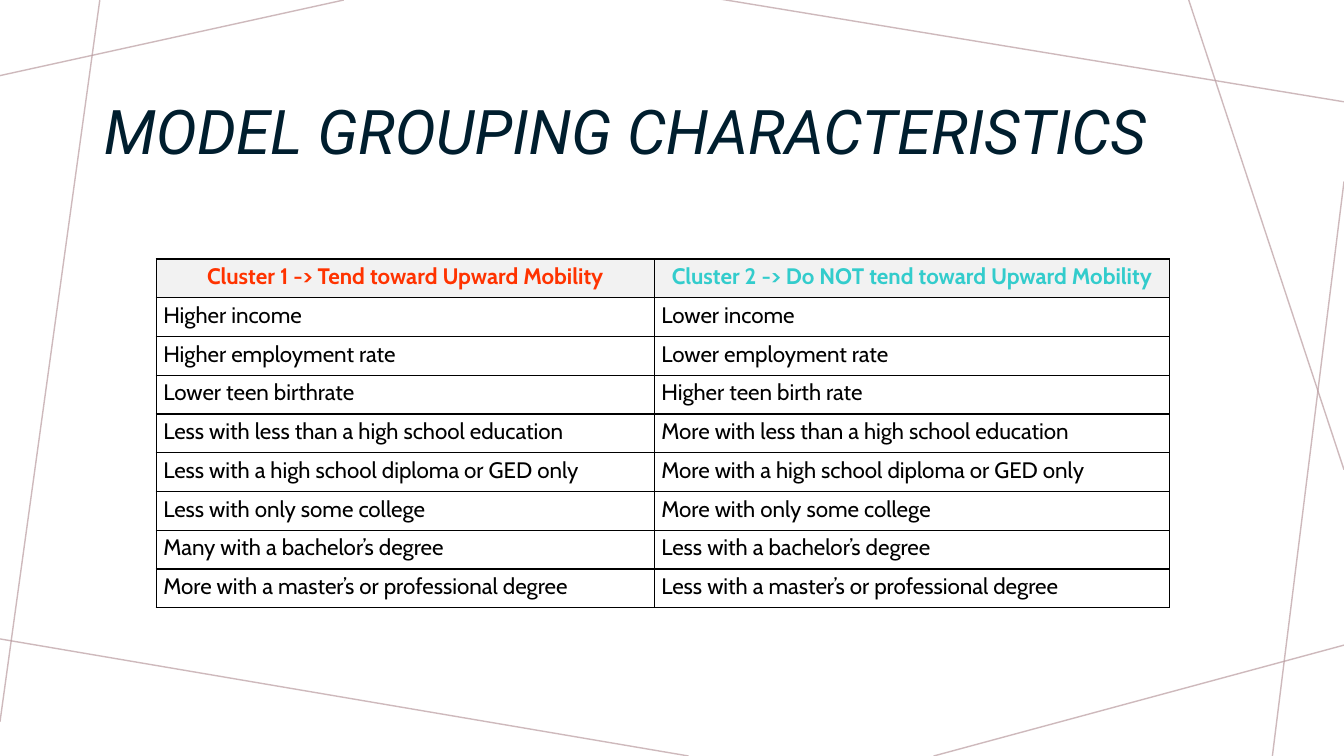
from dataclasses import dataclass

from lxml import etree
from pptx import Presentation
from pptx.dml.color import RGBColor
from pptx.enum.shapes import MSO_CONNECTOR
from pptx.enum.text import MSO_ANCHOR, MSO_AUTO_SIZE, PP_ALIGN
from pptx.oxml import parse_xml
from pptx.oxml.ns import nsdecls, qn
from pptx.util import Inches, Pt

STRAIGHT = MSO_CONNECTOR.STRAIGHT
MIDDLE = MSO_ANCHOR.MIDDLE
TOP = MSO_ANCHOR.TOP
NO_AUTOFIT = MSO_AUTO_SIZE.NONE
LEFT, CENTER = PP_ALIGN.LEFT, PP_ALIGN.CENTER
TITLE_ONLY = 5


@dataclass(frozen=True)
class Theme:
    title_font: str = "Roboto"
    body_font: str = "Cabin"
    title_size: int = 44
    body_size: int = 16
    line_width: int = 1
    background: str = "FFFFFF"
    title: str = "001E2E"
    text: str = "000000"
    border: str = "000000"
    header_fill: str = "F2F2F2"
    upward: str = "FF3300"
    not_upward: str = "33CCCC"
    web: str = "BA9CA0"
    web_opacity: int = 70


class SlideBuilder:
    def __init__(self, slide, theme):
        self.slide = slide
        self.theme = theme
        fill = slide.background.fill
        fill.solid()
        fill.fore_color.rgb = RGBColor.from_string(theme.background)

    def span(self, para, text, font, size, color, bold=False, italic=False):
        run = para.add_run()
        run.text = text
        run.font.name = font
        run.font.size = Pt(size)
        run.font.bold = bold
        run.font.italic = italic
        run.font.color.rgb = RGBColor.from_string(color)

    def title(self, text, left, top, width, height):
        box = self.slide.shapes.title
        box.left, box.top = Inches(left), Inches(top)
        box.width, box.height = Inches(width), Inches(height)
        frame = box.text_frame
        frame.word_wrap = True
        frame.auto_size = NO_AUTOFIT
        frame.vertical_anchor = MIDDLE
        para = frame.paragraphs[0]
        para.alignment = LEFT
        para.line_spacing = 0.9
        self.span(para, text, self.theme.title_font, self.theme.title_size,
                  self.theme.title, italic=True)

    def web_line(self, start, end):
        ends = [Inches(value) for value in (*start, *end)]
        line = self.slide.shapes.add_connector(STRAIGHT, *ends)
        line.line.width = Pt(self.theme.line_width)
        line.line.color.rgb = RGBColor.from_string(self.theme.web)
        properties = line._element.spPr
        color = properties.find(".//" + qn("a:srgbClr"))
        etree.SubElement(color, qn("a:alpha"),
                         val=str(self.theme.web_opacity * 1000))
        etree.SubElement(properties, qn("a:effectLst"))

    def borders(self, cell):
        properties = cell._tc.get_or_add_tcPr()
        for index, side in enumerate(("lnL", "lnR", "lnT", "lnB")):
            properties.insert(index, parse_xml(
                f'<a:{side} {nsdecls("a")} w="{Pt(self.theme.line_width)}">'
                f'<a:solidFill><a:srgbClr val="{self.theme.border}"/>'
                f'</a:solidFill><a:prstDash val="solid"/></a:{side}>'))

    def cell(self, cell, text, color, header):
        cell.margin_left = cell.margin_right = Inches(0.07)
        cell.margin_top = cell.margin_bottom = 0
        cell.vertical_anchor = TOP
        if header:
            cell.fill.solid()
            cell.fill.fore_color.rgb = RGBColor.from_string(
                self.theme.header_fill)
        else:
            cell.fill.background()
        self.borders(cell)
        para = cell.text_frame.paragraphs[0]
        para.alignment = CENTER if header else LEFT
        para.line_spacing = 1.15
        self.span(para, text, self.theme.body_font, self.theme.body_size,
                  color, bold=header)

    def table(self, rows, header_colors, left, top, widths, height):
        table = self.slide.shapes.add_table(
            len(rows), len(widths), Inches(left), Inches(top),
            Inches(sum(widths)), Inches(height)).table
        table.horz_banding = False
        for column, width in zip(table.columns, widths):
            column.width = Inches(width)
        for r, row in enumerate(rows):
            table.rows[r].height = Inches(height / len(rows))
            for c, text in enumerate(row):
                color = self.theme.text if r else header_colors[c]
                self.cell(table.cell(r, c), text, color, header=r == 0)


WEB_LINES = [
    ((3.41, 0), (0, 0.75)),
    ((0.99, 0), (0, 7.16)),
    ((6.83, 7.5), (-0.05, 6.33)),
    ((13.33, 6.4), (9.26, 7.5)),
    ((13.33, 1.8), (12.62, 7.5)),
    ((13.33, 4.66), (11.79, 0)),
    ((13.33, 1.01), (7.14, -0.01)),
]

CLUSTERS = [
    ("Cluster 1 -> Tend toward Upward Mobility",
     "Cluster 2 -> Do NOT tend toward Upward Mobility"),
    ("Higher income", "Lower income"),
    ("Higher employment rate", "Lower employment rate"),
    ("Lower teen birthrate", "Higher teen birth rate"),
    ("Less with less than a high school education",
     "More with less than a high school education"),
    ("Less with a high school diploma or GED only",
     "More with a high school diploma or GED only"),
    ("Less with only some college", "More with only some college"),
    ("Many with a bachelor’s degree", "Less with a bachelor’s degree"),
    ("More with a master’s or professional degree",
     "Less with a master’s or professional degree"),
]


def main():
    deck = Presentation()
    deck.slide_width, deck.slide_height = Inches(13.33), Inches(7.5)
    theme = Theme()
    page = SlideBuilder(
        deck.slides.add_slide(deck.slide_layouts[TITLE_ONLY]), theme)

    # Web of thin lines around the edges
    for start, end in WEB_LINES:
        page.web_line(start, end)

    # Comparison of the two clusters
    page.table(CLUSTERS, (theme.upward, theme.not_upward),
               left=1.55, top=2.57, widths=(4.94, 5.11), height=3.46)

    # Heading
    page.title("MODEL GROUPING CHARACTERISTICS", 0.93, 0.58, 12.21, 1.51)

    deck.save("out.pptx")


if __name__ == "__main__":
    main()
